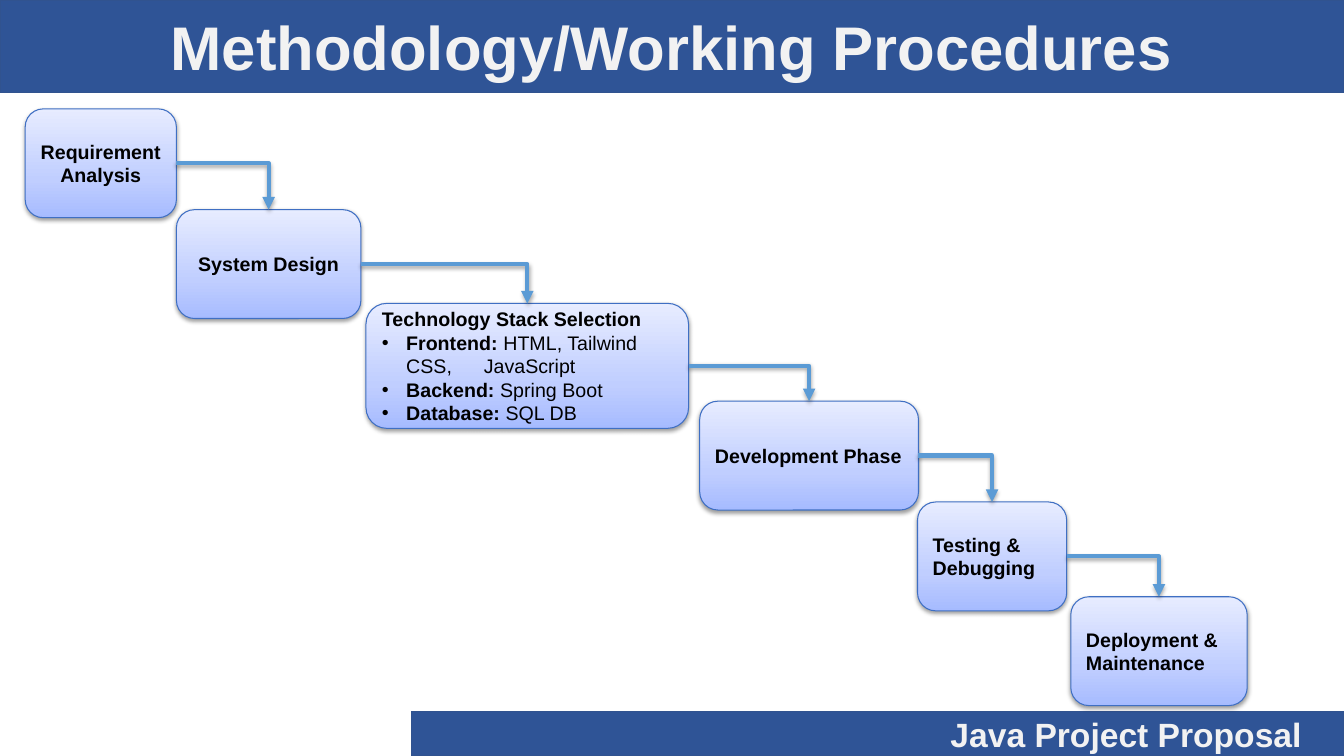
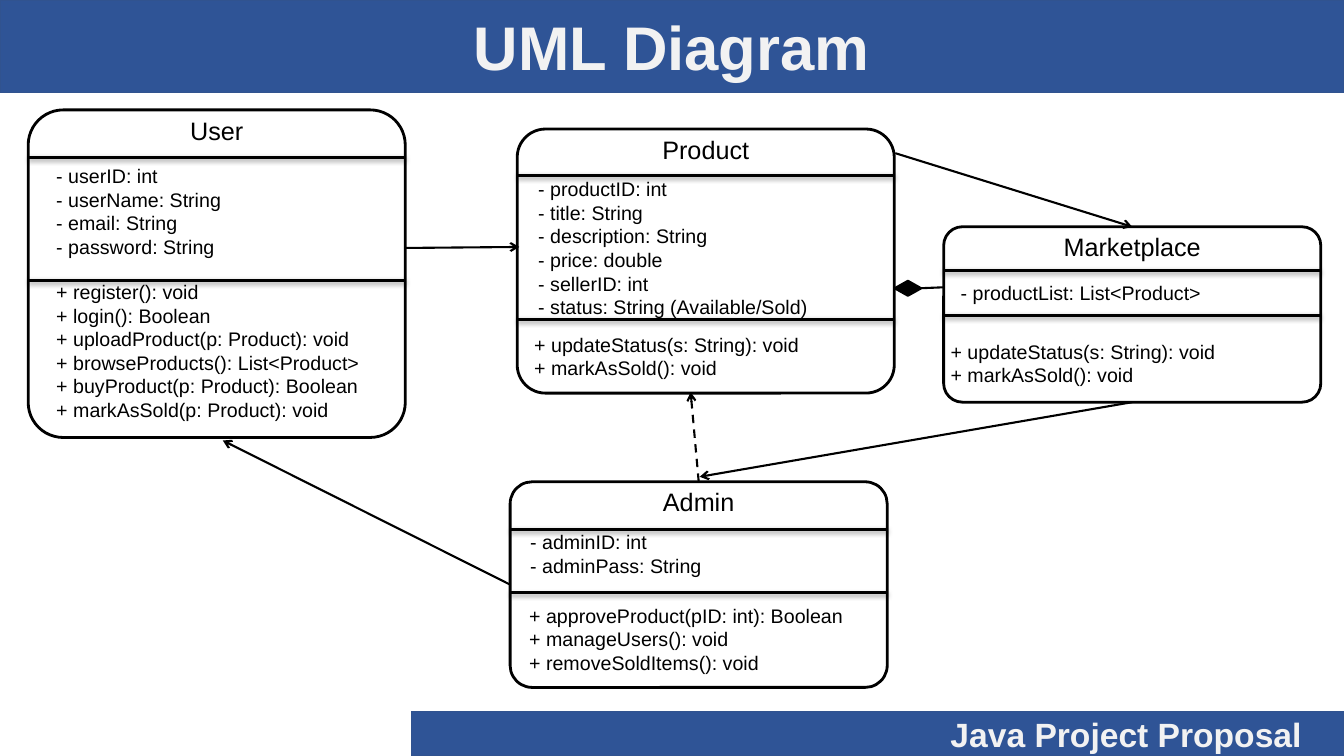
from copy import deepcopy

from pptx import Presentation
from pptx import util as u
from pptx.dml.color import RGBColor
from pptx.enum import dml, shapes, text
from pptx.oxml import parse_xml
from pptx.oxml.ns import nsdecls, qn

BAND = RGBColor(0x2F, 0x54, 0x96)
BAND_EDGE = RGBColor(0x31, 0x53, 0x8F)
BAND_TEXT = RGBColor(0xF2, 0xF2, 0xF2)
STEP_EDGE = RGBColor(0x3F, 0x6F, 0xC3)
STEP_ARROW = RGBColor(0x5B, 0x9B, 0xD5)
BLACK = RGBColor(0, 0, 0)
WHITE = RGBColor(0xFF, 0xFF, 0xFF)
STEP_FILL = [
    (0, RGBColor(0xA6, 0xBB, 0xFF)),
    (0.35, RGBColor(0xC0, 0xCE, 0xFF)),
    (1, RGBColor(0xE7, 0xEC, 0xFF)),
]

FONT = "Arial"
FOOTER = "Java Project Proposal"
CARD_W = 3.74
CENTER, LEFT = text.PP_ALIGN.CENTER, text.PP_ALIGN.LEFT

TECH_STACK = [
    [("Technology Stack Selection", True)],
    [("Frontend:", True), (" HTML, Tailwind CSS,\tJavaScript", False)],
    [("Backend:", True), (" Spring Boot", False)],
    [("Database:", True), (" SQL DB", False)],
]

STEPS = [
    ((0.25, 1.08, 1.5, 1.08), [[("Requirement Analysis", True)]], CENTER),
    ((1.75, 2.08, 1.83, 1.08), [[("System Design", True)]], CENTER),
    ((3.63, 3.01, 3.2, 1.24), TECH_STACK, LEFT),
    ((6.94, 3.98, 2.17, 1.08), [[("Development Phase", True)]], LEFT),
    ((9.1, 4.98, 1.48, 1.08), [[("Testing & Debugging", True)]], LEFT),
    ((10.62, 5.92, 1.75, 1.08), [[("Deployment & Maintenance", True)]], LEFT),
]

CLASSES = [
    {
        "name": "User", "box": (0.28, 1.09, 3.25), "dividers": (1.56, 2.78),
        "fields": (0.46, 1.58, 1.17, [
            "- userID: int", "- userName: String",
            "- email: String", "- password: String"]),
        "methods": (0.46, 2.73, 1.5, [
            "+ register(): void", "+ login(): Boolean",
            "+ uploadProduct(p: Product): void",
            "+ browseProducts(): List<Product>",
            "+ buyProduct(p: Product): Boolean",
            "+ markAsSold(p: Product): void"]),
    },
    {
        "name": "Product", "box": (5.13, 1.28, 2.62), "dividers": (1.74, 3.17),
        "fields": (5.24, 1.71, 1.5, [
            "- productID: int", "- title: String", "- description: String",
            "- price: double", "- sellerID: int",
            "- status: String (Available/Sold)"]),
        "methods": (5.2, 3.25, 0.57, [
            "+ updateStatus(s: String): void", "+ markAsSold(): void"]),
    },
    {
        "name": "Marketplace", "box": (9.36, 2.25, 1.74), "dividers": (2.68, 3.13),
        "fields": (9.43, 2.74, 0.31, ["- productList: List<Product>"]),
        "methods": (9.33, 3.32, 0.52, [
            "+ updateStatus(s: String): void", "+ markAsSold(): void"]),
    },
    {
        "name": "Admin", "box": (5.06, 4.78, 2.04), "dividers": (5.25, 5.88),
        "fields": (5.16, 5.21, 0.57, ["- adminID: int", "- adminPass: String"]),
        "methods": (5.15, 5.94, 0.81, [
            "+ approveProduct(pID: int): Boolean",
            "+ manageUsers(): void", "+ removeSoldItems(): void"]),
    },
]

RELATIONS = [
    ((4.02, 2.46), (5.15, 2.45), "arrow", False),
    ((8.88, 1.52), (11.23, 2.25), "arrow", False),
    ((11.23, 3.99), (6.94, 4.73), "arrow", False),
    ((6.93, 4.78), (6.85, 3.89), "arrow", True),
    ((5.06, 5.8), (2.21, 4.37), "arrow", False),
    ((9.12, 2.86), (9.36, 2.85), None, False),
]


def inches(*values):
    return [u.Inches(v) for v in values]


def set_attrs(obj, values):
    for name, value in values.items():
        setattr(obj, name, value)


def set_outline(sp, color, width):
    sp.line.color.rgb = color
    sp.line.width = u.Pt(width)


def set_fill(sp, color):
    sp.fill.solid()
    sp.fill.fore_color.rgb = color


def add_run(p, content, size, color=BLACK, bold=False):
    r = p.add_run()
    r.text = content
    set_attrs(r.font, {"name": FONT, "size": u.Pt(size), "bold": bold})
    r.font.color.rgb = color


def add_lines(tf, lines, size, align=LEFT):
    tf.word_wrap = True
    for i, runs in enumerate(lines):
        p = tf.paragraphs[0] if i == 0 else tf.add_paragraph()
        p.alignment = align
        for content, bold in runs:
            add_run(p, content, size, bold=bold)


def set_effects(sp, alpha=None, dist=20000):
    spPr = sp._element.spPr
    for old in spPr.findall(qn("a:effectLst")):
        spPr.remove(old)
    shadow = ""
    if alpha:
        shadow = (
            f'<a:outerShdw blurRad="40000" dist="{dist}" dir="5400000" rotWithShape="0">'
            f'<a:srgbClr val="000000"><a:alpha val="{alpha * 1000}"/></a:srgbClr>'
            "</a:outerShdw>"
        )
    spPr.append(parse_xml(f'<a:effectLst {nsdecls("a")}>{shadow}</a:effectLst>'))


def add_bullet(p):
    pPr = p._p.get_or_add_pPr()
    pPr.set("marL", str(u.Inches(0.24)))
    pPr.set("indent", str(u.Inches(-0.24)))
    for xml in (
        f'<a:buFont {nsdecls("a")} typeface="{FONT}"/>',
        f'<a:buChar {nsdecls("a")} char="•"/>',
        f'<a:tabLst {nsdecls("a")}><a:tab pos="{u.Inches(1.01)}" algn="l"/></a:tabLst>',
    ):
        pPr.append(parse_xml(xml))


def add_line(parent, start, end, color, width, head=None, dash=False,
             kind=shapes.MSO_CONNECTOR.STRAIGHT):
    cxn = parent.add_connector(kind, *inches(*start, *end))
    set_outline(cxn, color, width)
    if dash:
        cxn.line.dash_style = dml.MSO_LINE.DASH
    if head:
        cxn.line._get_or_add_ln().append(
            parse_xml(f'<a:tailEnd {nsdecls("a")} type="{head}"/>'))
    set_effects(cxn)
    return cxn


def format_band(sp, box, content, size, align):
    set_attrs(sp, dict(zip(("left", "top", "width", "height"), inches(*box))))
    set_fill(sp, BAND)
    set_outline(sp, BAND_EDGE, 1)
    tf = sp.text_frame
    set_attrs(tf, {
        "word_wrap": True,
        "auto_size": text.MSO_AUTO_SIZE.NONE,
        "vertical_anchor": text.MSO_ANCHOR.MIDDLE,
    })
    p = tf.paragraphs[0]
    p.alignment = align
    add_run(p, content, size, BAND_TEXT, True)
    return tf


def add_slide(prs, title):
    s = prs.slides.add_slide(prs.slide_layouts.get_by_name("Title Only"))
    format_band(s.shapes.title, (0, 0, 13.33, 0.92), title, 44, CENTER)
    box = (4.08, 7.06, 9.25, 0.44)
    sp = s.shapes.add_shape(shapes.MSO_SHAPE.RECTANGLE, *inches(*box))
    sp.shadow.inherit = False
    tf = format_band(sp, box, FOOTER, 24, text.PP_ALIGN.RIGHT)
    tf.margin_right = u.Inches(0.42)
    return s


def add_step(s, box, lines, align):
    sp = s.shapes.add_shape(shapes.MSO_SHAPE.ROUNDED_RECTANGLE, *inches(*box))
    sp.fill.gradient()
    sp.fill.gradient_angle = 90
    stops = sp._element.spPr.find(".//" + qn("a:gsLst"))
    stops.append(deepcopy(stops[0]))
    for stop, (position, color) in zip(sp.fill.gradient_stops, STEP_FILL):
        stop.position = position
        stop.color.rgb = color
    set_outline(sp, STEP_EDGE, 0.75)
    set_effects(sp, 38)
    add_lines(sp.text_frame, lines, 14, align)
    for p in sp.text_frame.paragraphs[1:]:
        add_bullet(p)
    return sp


def link_steps(s, first, second):
    cxn = add_line(s.shapes, (0, 0), (1, 1), STEP_ARROW, 3, "triangle",
                   kind=shapes.MSO_CONNECTOR.ELBOW)
    cxn.begin_connect(first, 3)
    cxn.end_connect(second, 0)
    cxn._element.spPr.find(qn("a:prstGeom")).set("prst", "bentConnector2")
    set_effects(cxn, 35, 23000)


def add_text(parent, box, lines, size, align=LEFT):
    sp = parent.add_textbox(*inches(*box))
    add_lines(sp.text_frame, [[(line, False)] for line in lines], size, align)


def add_class(s, name, box, dividers, fields, methods):
    left, top, height = box
    parent = s.shapes.add_group_shape().shapes
    sp = parent.add_shape(shapes.MSO_SHAPE.ROUNDED_RECTANGLE,
                          *inches(left, top, CARD_W, height))
    sp.adjustments[0] = 0.107
    sp.shadow.inherit = False
    set_fill(sp, WHITE)
    set_outline(sp, BLACK, 2)
    for y in dividers:
        divider = add_line(parent, (left, y), (left + CARD_W, y), BLACK, 2)
        set_effects(divider, 38)
    add_text(parent, (left, top, CARD_W, 0.4), [name], 18, CENTER)
    for x, y, h, lines in (fields, methods):
        add_text(parent, (x, y, 3.4, h), lines, 14)


def build_methodology(prs):
    s = add_slide(prs, "Methodology/Working Procedures")
    steps = [add_step(s, *step) for step in STEPS]
    for first, second in zip(steps, steps[1:]):
        link_steps(s, first, second)


def build_uml(prs):
    s = add_slide(prs, "UML Diagram")
    for uml_class in CLASSES:
        add_class(s, **uml_class)
    for start, end, head, dash in RELATIONS:
        add_line(s.shapes, start, end, BLACK, 1.5, head, dash)
    diamond = s.shapes.add_shape(shapes.MSO_SHAPE.FLOWCHART_DECISION,
                                 *inches(8.88, 2.79, 0.25, 0.14))
    diamond.shadow.inherit = False
    set_fill(diamond, BLACK)
    set_outline(diamond, BLACK, 2)


def main():
    prs = Presentation()
    prs.slide_width, prs.slide_height = inches(13.33, 7.5)
    build_methodology(prs)
    build_uml(prs)
    prs.save("out.pptx")


if __name__ == "__main__":
    main()
